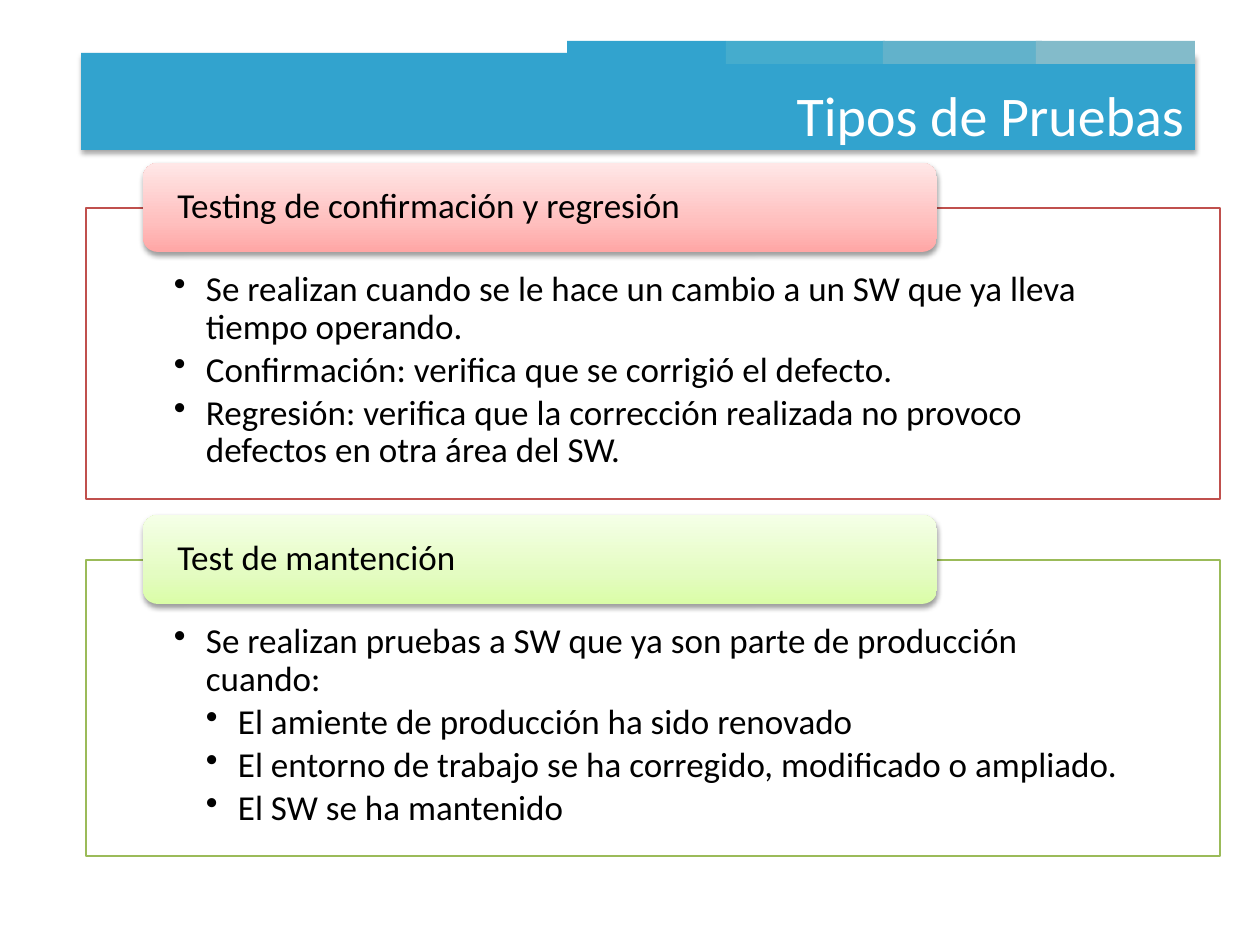
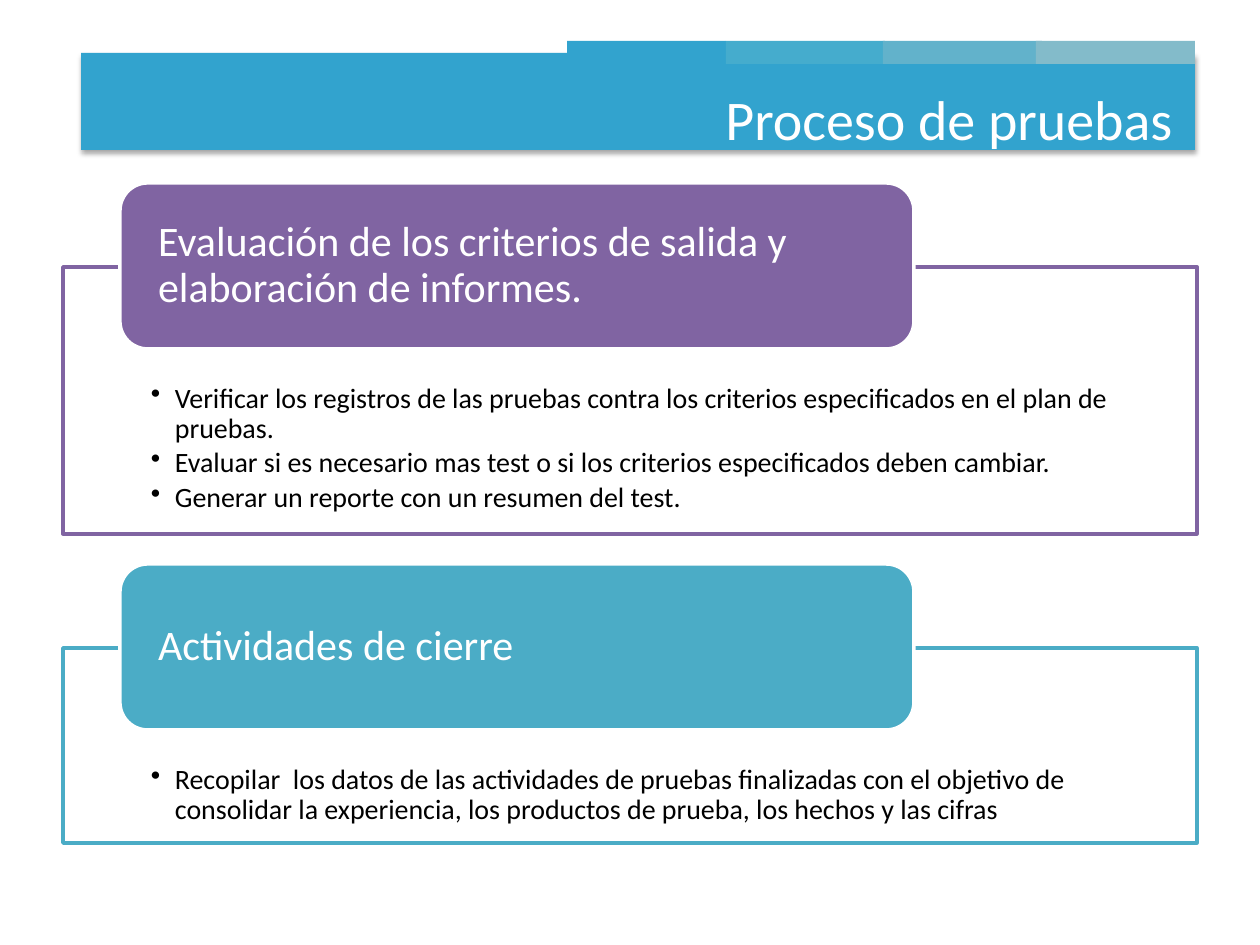
"""Build two slides on kinds of software testing and the testing process."""
import dataclasses

import lxml.etree
import pptx
import pptx.dml.color
import pptx.enum.shapes
import pptx.enum.text
import pptx.oxml.ns
import pptx.util

RGBColor = pptx.dml.color.RGBColor
SHAPES = pptx.enum.shapes.MSO_SHAPE
ALIGN = pptx.enum.text.PP_ALIGN
ANCHOR = pptx.enum.text.MSO_ANCHOR

PX_PER_INCH = 126
FONT = "Calibri"
WHITE = RGBColor(0xFF, 0xFF, 0xFF)
BLACK = RGBColor(0x00, 0x00, 0x00)
BAND_BLUE = RGBColor(0x32, 0xA3, 0xCE)
BAND_TABS = (
    (567, BAND_BLUE),
    (726, RGBColor(0x45, 0xAC, 0xCD)),
    (883, RGBColor(0x62, 0xB2, 0xCB)),
    (1036, RGBColor(0x83, 0xBB, 0xCA)),
)
RED = RGBColor(0xC0, 0x50, 0x4D)
GREEN = RGBColor(0x9B, 0xBB, 0x59)
PURPLE = RGBColor(0x80, 0x64, 0xA2)
AQUA = RGBColor(0x4B, 0xAC, 0xC6)
RED_GRADIENT = (
    (0, RGBColor(0xFF, 0xA6, 0xA5)),
    (35, RGBColor(0xFF, 0xC0, 0xBF)),
    (100, RGBColor(0xFF, 0xE7, 0xE7)),
)
GREEN_GRADIENT = (
    (0, RGBColor(0xDA, 0xFD, 0xA7)),
    (35, RGBColor(0xE4, 0xFC, 0xC2)),
    (100, RGBColor(0xF5, 0xFF, 0xE7)),
)

CARD_WIDTH = 1134
BODY_INSET = 88
LABEL_OFFSET = 57
LABEL_WIDTH = 794
LABEL_INSET = 30


@dataclasses.dataclass
class CardStyle:
    """Measures shared by the cards of one slide."""
    left: int
    line_points: float
    body_points: int
    body_top: int
    body_bottom: int
    indent: int
    label_points: int
    label_color: RGBColor
    label_height: int
    label_rise: int


SOFT_CARD = CardStyle(86, 0.75, 20, 63, 20, 32, 20, BLACK, 89, 45)
SOLID_CARD = CardStyle(63, 2, 16, 117, 15, 24, 24, WHITE, 166, 84)


def px(length):
    """Turn a length in px into EMU."""
    return pptx.util.Emu(round(length * 914400 / PX_PER_INCH))


def add_element(parent, tag, **attributes):
    """Append a drawing element with the given attributes."""
    element = lxml.etree.SubElement(parent, pptx.oxml.ns.qn(tag))
    for name, value in attributes.items():
        element.set(name, str(value))
    return element


def add_box(slide, kind, left, top, width, height, fill=None, line=None, line_points=0):
    """Add a preset shape with an optional solid fill and line."""
    box = slide.shapes.add_shape(kind, px(left), px(top), px(width), px(height))
    box.shadow.inherit = False
    if fill is not None:
        box.fill.solid()
        box.fill.fore_color.rgb = fill
    if line is None:
        box.line.fill.background()
    else:
        box.line.color.rgb = line
        box.line.width = pptx.util.Pt(line_points)
    return box


def add_shadow(box, opacity, distance):
    """Give a box a soft shadow below it."""
    effects = box._element.spPr.find(pptx.oxml.ns.qn("a:effectLst"))
    shadow = add_element(
        effects, "a:outerShdw", blurRad=pptx.util.Pt(3.1),
        dist=pptx.util.Pt(distance), dir=5400000, rotWithShape=0)
    color = add_element(shadow, "a:srgbClr", val=BLACK)
    add_element(color, "a:alpha", val=opacity * 1000)


def fill_gradient(box, stops):
    """Fill a box with colour stops that run from bottom to top."""
    box.fill.gradient()
    gradient = box._element.spPr.find(pptx.oxml.ns.qn("a:gradFill"))
    for child in list(gradient):
        gradient.remove(child)
    stop_list = add_element(gradient, "a:gsLst")
    for position, color in stops:
        stop = add_element(stop_list, "a:gs", pos=position * 1000)
        add_element(stop, "a:srgbClr", val=color)
    add_element(gradient, "a:lin", ang=16200000, scaled=0)


def set_frame(box, left, top, right, bottom, anchor):
    """Set the margins and anchor of a wrapping text frame."""
    frame = box.text_frame
    frame.word_wrap = True
    frame.vertical_anchor = anchor
    frame.margin_left, frame.margin_top = px(left), px(top)
    frame.margin_right, frame.margin_bottom = px(right), px(bottom)
    return frame


def write(para, text, points, color, align=ALIGN.LEFT):
    """Write a paragraph in the deck's font."""
    para.text = text
    para.alignment = align
    for span in para.runs:
        span.font.name = FONT
        span.font.size = pptx.util.Pt(points)
        span.font.color.rgb = color


def add_bullet(para, level, indent):
    """Give a paragraph a hanging bullet at a level."""
    para.level = level
    properties = para._p.get_or_add_pPr()
    properties.set("marL", str(px(indent * level)))
    properties.set("indent", str(px(-indent)))
    add_element(properties, "a:buChar", char="•")


def add_title_band(slide):
    """Add the blue band and its row of tabs."""
    band = add_box(slide, SHAPES.RECTANGLE, 81, 53, 1114, 97, BAND_BLUE)
    add_shadow(band, 35, 1.8)
    for left, color in BAND_TABS:
        add_box(slide, SHAPES.RECTANGLE, left, 41, 159, 23, color)


def add_title(slide, text, left, top, width, align):
    """Add the white title on the band."""
    box = slide.shapes.add_textbox(px(left), px(top), px(width), px(80))
    box.text_frame.word_wrap = True
    write(box.text_frame.paragraphs[0], text, 32, WHITE, align)


def add_body(slide, style, top, height, color, items):
    """Add the outlined box that holds the bulleted items."""
    box = add_box(slide, SHAPES.RECTANGLE, style.left, top, CARD_WIDTH, height,
                  WHITE, color, style.line_points)
    frame = set_frame(box, BODY_INSET, style.body_top, BODY_INSET,
                      style.body_bottom, ANCHOR.TOP)
    for index, (level, text) in enumerate(items):
        para = frame.add_paragraph() if index else frame.paragraphs[0]
        add_bullet(para, level, style.indent)
        para.line_spacing = 0.9
        para.space_after = pptx.util.Pt(style.body_points * 0.15)
        write(para, text, style.body_points, BLACK)


def add_label(slide, style, top, text, color, gradient):
    """Add the rounded label over the top edge of a card."""
    box = add_box(slide, SHAPES.ROUNDED_RECTANGLE, style.left + LABEL_OFFSET,
                  top - style.label_rise, LABEL_WIDTH, style.label_height,
                  color, None if gradient else WHITE, style.line_points)
    if gradient:
        fill_gradient(box, gradient)
        add_shadow(box, 38, 1.6)
    frame = set_frame(box, LABEL_INSET, 0, LABEL_INSET, 0, ANCHOR.MIDDLE)
    frame.paragraphs[0].line_spacing = 0.9
    write(frame.paragraphs[0], text, style.label_points, style.label_color)


def add_card(slide, style, top, height, label, items, color, gradient=None):
    """Add a body box with its label."""
    add_body(slide, style, top, height, color, items)
    add_label(slide, style, top, label, color, gradient)


def add_banded_slide(deck):
    """Add a blank slide with the title band."""
    slide = deck.slides.add_slide(deck.slide_layouts[6])
    add_title_band(slide)
    return slide


def add_test_types(deck):
    """Add the slide on kinds of tests."""
    slide = add_banded_slide(deck)
    add_card(slide, SOFT_CARD, 208, 291, "Testing de confirmación y regresión", (
        (1, "Se realizan cuando se le hace un cambio a un SW que ya lleva tiempo operando."),
        (1, "Confirmación: verifica que se corrigió el defecto."),
        (1, "Regresión: verifica que la corrección realizada no provoco defectos "
            "en otra área del SW."),
    ), RED, RED_GRADIENT)
    add_card(slide, SOFT_CARD, 560, 296, "Test de mantención", (
        (1, "Se realizan pruebas a SW que ya son parte de producción cuando:"),
        (2, "El amiente de producción ha sido renovado"),
        (2, "El entorno de trabajo se ha corregido, modificado o ampliado."),
        (2, "El SW se ha mantenido"),
    ), GREEN, GREEN_GRADIENT)
    add_title(slide, "Tipos de Pruebas", 280, 74, 917, ALIGN.RIGHT)


def add_test_process(deck):
    """Add the slide on the testing process."""
    slide = add_banded_slide(deck)
    label = "Evaluación de los criterios de salida y elaboración de informes."
    add_card(slide, SOLID_CARD, 267, 267, label, (
        (1, "Verificar los registros de las pruebas contra los criterios especificados "
            "en el plan de pruebas."),
        (1, "Evaluar si es necesario mas test o si los criterios especificados deben cambiar."),
        (1, "Generar un reporte con un resumen del test."),
    ), PURPLE)
    add_card(slide, SOLID_CARD, 648, 195, "Actividades de cierre", (
        (1, "Recopilar  los datos de las actividades de pruebas finalizadas con el objetivo de "
            "consolidar la experiencia, los productos de prueba, los hechos y las cifras"),
    ), AQUA)
    add_title(slide, "Proceso de pruebas", 713, 78, 484, ALIGN.JUSTIFY)


def main():
    """Build and save the deck."""
    deck = pptx.Presentation()
    deck.slide_width, deck.slide_height = px(1260), px(945)
    add_test_types(deck)
    add_test_process(deck)
    deck.save("out.pptx")


if __name__ == "__main__":
    main()
